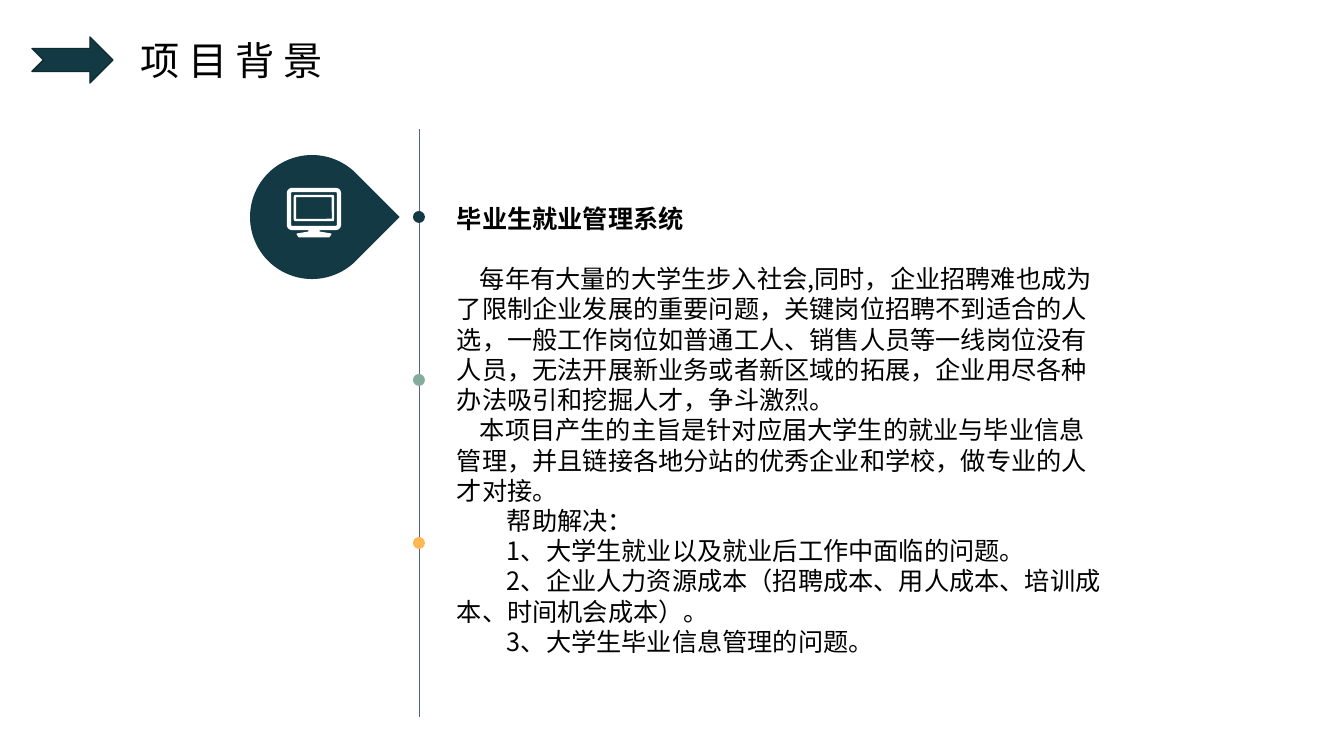
"""Build the project background slide with its timeline and description."""
from lxml.etree import SubElement
from pptx import Presentation
from pptx.dml.color import RGBColor
from pptx.enum.shapes import MSO_CONNECTOR, MSO_SHAPE
from pptx.oxml.ns import qn
from pptx.util import Pt

SCALE = 12192000 / 1344
NAVY = RGBColor(0x13, 0x3A, 0x44)
DARK_NAVY = RGBColor(0x0E, 0x2B, 0x32)
SLATE = RGBColor(0x58, 0x63, 0x71)
SAGE = RGBColor(0x85, 0xAD, 0x9E)
AMBER = RGBColor(0xFF, 0xB7, 0x55)
WHITE = RGBColor(0xFF, 0xFF, 0xFF)
BLACK = RGBColor(0x00, 0x00, 0x00)
CHINESE_FONT = "Noto Sans CJK SC"

presentation = Presentation()
presentation.slide_width = round(1344 * SCALE)
presentation.slide_height = round(756 * SCALE)
slide = presentation.slides.add_slide(presentation.slide_layouts[6])


def add_shape(kind, left, top, width, height, fill=None, line=None, weight=1):
    box = [round(length * SCALE) for length in (left, top, width, height)]
    shape = slide.shapes.add_shape(kind, *box)
    shape.shadow.inherit = False
    if fill is None:
        shape.fill.background()
    else:
        shape.fill.solid()
        shape.fill.fore_color.rgb = fill
    if line is None:
        shape.line.fill.background()
    else:
        shape.line.color.rgb = line
        shape.line.width = Pt(weight)
    return shape


def format_run(run, size, font, bold=False):
    run.font.size = Pt(size)
    run.font.name = font
    run.font.bold = bold
    run.font.color.rgb = BLACK
    properties = run._r.get_or_add_rPr()
    SubElement(properties, qn("a:ea")).set("typeface", CHINESE_FONT)
    return properties


add_shape(MSO_SHAPE.NOTCHED_RIGHT_ARROW, 32, 37, 81, 46, NAVY, DARK_NAVY)

title = slide.shapes.add_textbox(*[round(length * SCALE) for length in (131, 31, 400, 58)])
title.text_frame.word_wrap = True
title.text_frame.text = "项目背景"
format_run(title.text_frame.paragraphs[0].runs[0], 28, "Arial").set("spc", "600")

teardrop = add_shape(MSO_SHAPE.TEAR, 250, 155, 124, 124, NAVY)
teardrop.rotation = 45

timeline = slide.shapes.add_connector(
    MSO_CONNECTOR.STRAIGHT, *[round(length * SCALE) for length in (419, 129, 419, 717)])
timeline.line.color.rgb = SLATE
timeline.line.width = Pt(0.5)
SubElement(timeline._element.spPr, qn("a:effectLst"))

for index, color in enumerate((NAVY, SAGE, AMBER)):
    add_shape(MSO_SHAPE.OVAL, 413, 211 + 163 * index, 12, 12, color)

bezel = add_shape(MSO_SHAPE.ROUNDED_RECTANGLE, 289, 190, 50, 38, line=WHITE, weight=3)
bezel.adjustments[0] = 0.08
screen = add_shape(MSO_SHAPE.ROUNDED_RECTANGLE, 295, 196, 38, 24, line=WHITE, weight=1.75)
screen.adjustments[0] = 0.03

builder = slide.shapes.build_freeform(309, 230, scale=SCALE)
builder.add_line_segments([(319, 230), (319, 232), (331, 234), (329, 237),
                           (299, 237), (297, 234), (309, 232)])
stand = builder.convert_to_shape()
stand.shadow.inherit = False
stand.fill.solid()
stand.fill.fore_color.rgb = WHITE
stand.line.color.rgb = WHITE
stand.line.width = Pt(0.75)

DESCRIPTION = [
    ("毕业生就业管理系统", 0),
    ("每年有大量的大学生步入社会,同时，企业招聘难也成为了限制企业发展的重要问题，"
     "关键岗位招聘不到适合的人选，一般工作岗位如普通工人、销售人员等一线岗位没有人员，"
     "无法开展新业务或者新区域的拓展，企业用尽各种办法吸引和挖掘人才，争斗激烈。", 23),
    ("本项目产生的主旨是针对应届大学生的就业与毕业信息管理，"
     "并且链接各地分站的优秀企业和学校，做专业的人才对接。", 23),
    ("帮助解决：", 50),
    ("1、大学生就业以及就业后工作中面临的问题。", 50),
    ("2、企业人力资源成本（招聘成本、用人成本、培训成本、时间机会成本）。", 50),
    ("3、大学生毕业信息管理的问题。", 50),
]
description = slide.shapes.add_textbox(
    *[round(length * SCALE) for length in (447, 198, 672, 469)])
frame = description.text_frame
frame.word_wrap = True
frame.text = "\n".join(text for text, indent in DESCRIPTION)
for paragraph, (text, indent) in zip(frame.paragraphs, DESCRIPTION):
    paragraph._p.get_or_add_pPr().set("indent", str(round(indent * SCALE)))
    format_run(paragraph.runs[0], 18, CHINESE_FONT, bold=indent == 0)
frame.paragraphs[0].space_after = Pt(21.6)

presentation.save("out.pptx")
